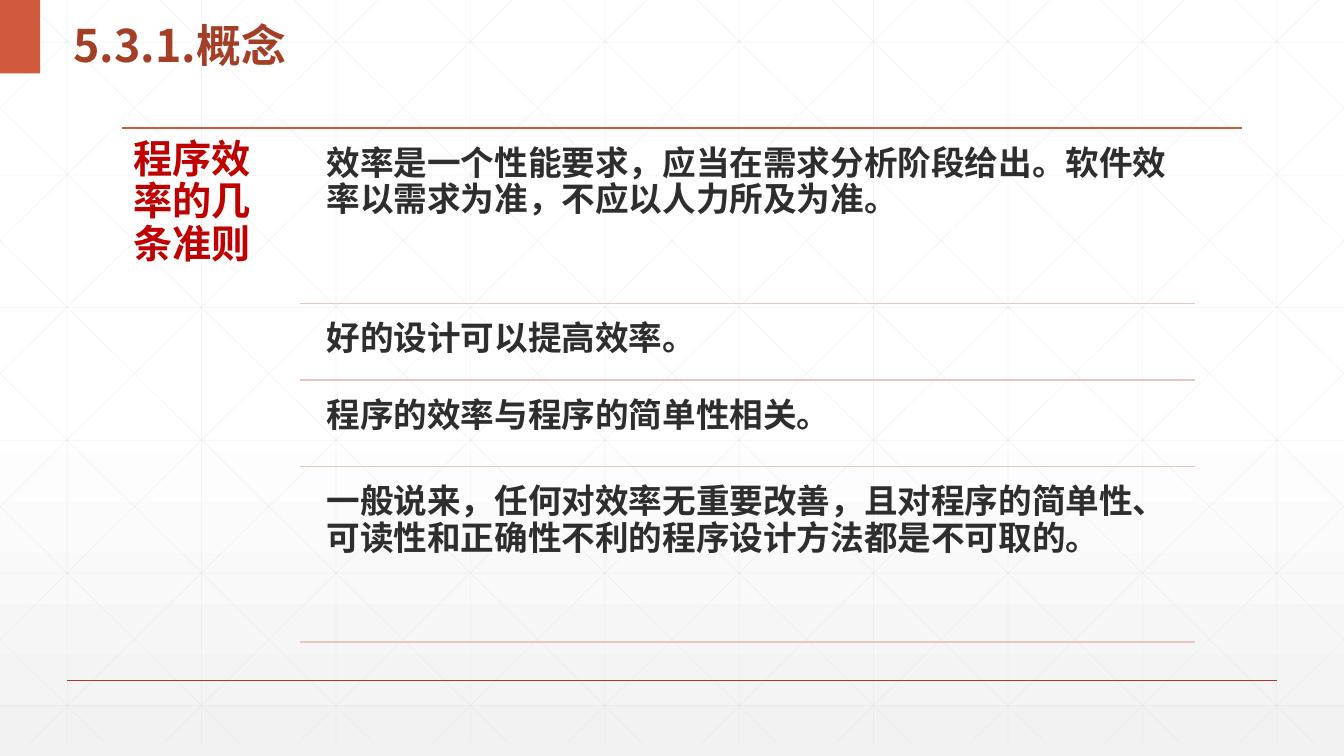
from lxml import etree
from pptx import Presentation
from pptx.dml.color import RGBColor
from pptx.enum.shapes import MSO_CONNECTOR, MSO_SHAPE
from pptx.enum.text import MSO_ANCHOR
from pptx.oxml.ns import qn
from pptx.util import Pt

STRAIGHT = MSO_CONNECTOR.STRAIGHT
RECT = MSO_SHAPE.RECTANGLE
TOP, MIDDLE = MSO_ANCHOR.TOP, MSO_ANCHOR.MIDDLE

TITLE = [("5.3.1.", "Noto Sans CJK SC"), ("概念", "Arial")]
TOPIC = "程序效率的几条准则"
RULES = [
    ("效率是一个性能要求，应当在需求分析阶段给出。软件效率以需求为准，不应以人力所及为准。", 119.5),
    ("好的设计可以提高效率。", 49),
    ("程序的效率与程序的简单性相关。", 56),
    ("一般说来，任何对效率无重要改善，且对程序的简单性、可读性和正确性不利的程序设计方法都是不可取的。", 119.5),
]

THEME = {
    "font": "Noto Sans CJK SC",
    "paper": "FFFFFF", "shade": "F2F2F2", "grid": "D9D9D9",
    "accent": "D15A3E", "title": "A43F27", "topic": "C00000",
    "body": "2D2E2D", "divider": "E9C4C0",
    "title_size": 32, "topic_size": 28, "body_size": 24,
}

WIDTH, HEIGHT = 960, 540
GRID_BOTTOM = 530.64
COLUMN_STEP, ROW_STEP = 96, 94.75
DIAGONAL_RUN = 536.8
LIST_TOP, ROW_GAP = 91.4, 5.8


def color(name):
    return RGBColor.from_string(THEME[name])


def add_line(s, x1, y1, x2, y2, name, width=1, opacity=None):
    line = s.shapes.add_connector(STRAIGHT, Pt(x1), Pt(y1), Pt(x2), Pt(y2))
    line.line.color.rgb = color(name)
    line.line.width = Pt(width)
    spPr = line._element.spPr
    etree.SubElement(spPr, qn("a:effectLst"))
    if opacity is not None:
        rgb = spPr.find(".//" + qn("a:srgbClr"))
        etree.SubElement(rgb, qn("a:alpha")).set("val", str(opacity * 1000))


def add_text(s, box, runs, role, spacing, insets, anchor=TOP):
    tf = s.shapes.add_textbox(*map(Pt, box)).text_frame
    tf.word_wrap = True
    tf.vertical_anchor = anchor
    tf.margin_left = tf.margin_right = Pt(insets[0])
    tf.margin_top = tf.margin_bottom = Pt(insets[1])
    p = tf.paragraphs[0]
    p.line_spacing = spacing
    for text, font in runs:
        r = p.add_run()
        r.text = text
        r.font.name = font
        r.font.size = Pt(THEME[role + "_size"])
        r.font.bold = True
        r.font.color.rgb = color(role)
        ea = etree.SubElement(r.font._element, qn("a:ea"))
        ea.set("typeface", THEME["font"])


def add_background(s):
    fill = s.background.fill
    fill.gradient()
    fill.gradient_angle = 270
    for stop, (position, name) in zip(fill.gradient_stops, [(0.53, "paper"), (1, "shade")]):
        stop.position = position
        stop.color.rgb = color(name)


def add_grid(s):
    segments = [(x, 0, x, GRID_BOTTOM) for x in range(48, WIDTH, COLUMN_STEP)]
    for i in range(6):
        y = 30.24 + i * ROW_STEP
        segments.append((0, y, WIDTH, y))
    slope = GRID_BOTTOM / DIAGONAL_RUN
    for i in range(-5, 10):
        start = 18 + i * COLUMN_STEP
        x1, x2 = max(start, 0), min(start + DIAGONAL_RUN, WIDTH)
        y1, y2 = (x1 - start) * slope, (x2 - start) * slope
        segments.append((x1, y1, x2, y2))
        segments.append((WIDTH - x1, y1, WIDTH - x2, y2))
    for segment in segments:
        add_line(s, *segment, "grid", 0.5, 25)


def add_rules(s):
    add_line(s, 87.1, LIST_TOP, 887, LIST_TOP, "accent")
    add_text(s, (87.1, LIST_TOP, 127.4, 373.7), [(TOPIC, THEME["font"])],
             "topic", 0.9, (8.4, 8.4))
    y = LIST_TOP
    for text, height in RULES:
        y += ROW_GAP
        add_text(s, (226.1, y, 627.8, height), [(text, THEME["font"])],
                 "body", 0.9, (7.2, 7.2))
        y += height
        add_line(s, 214.6, y, 853.9, y, "divider")


def main():
    prs = Presentation()
    prs.slide_width, prs.slide_height = Pt(WIDTH), Pt(HEIGHT)
    s = prs.slides.add_slide(prs.slide_layouts[6])
    add_background(s)
    add_grid(s)
    add_line(s, 48, 486, 912, 486, "title")
    tab = s.shapes.add_shape(RECT, 0, 0, Pt(28.8), Pt(52.56))
    tab.shadow.inherit = False
    tab.fill.solid()
    tab.fill.fore_color.rgb = color("accent")
    tab.line.fill.background()
    add_text(s, (45.2, 0, 409.7, 52.56), TITLE, "title", 1.3, (7.2, 3.6), MIDDLE)
    add_rules(s)
    prs.save("out.pptx")


if __name__ == "__main__":
    main()
